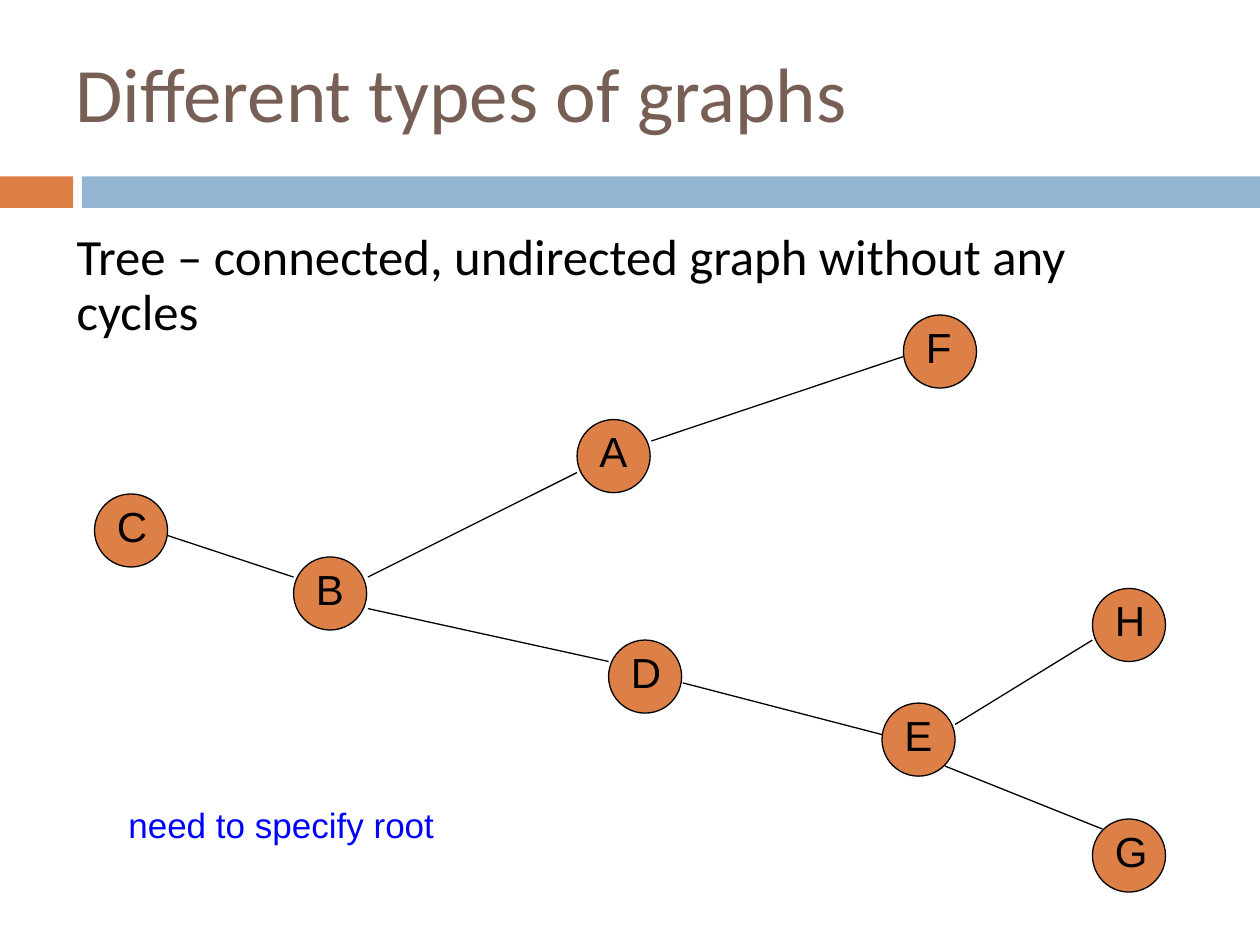
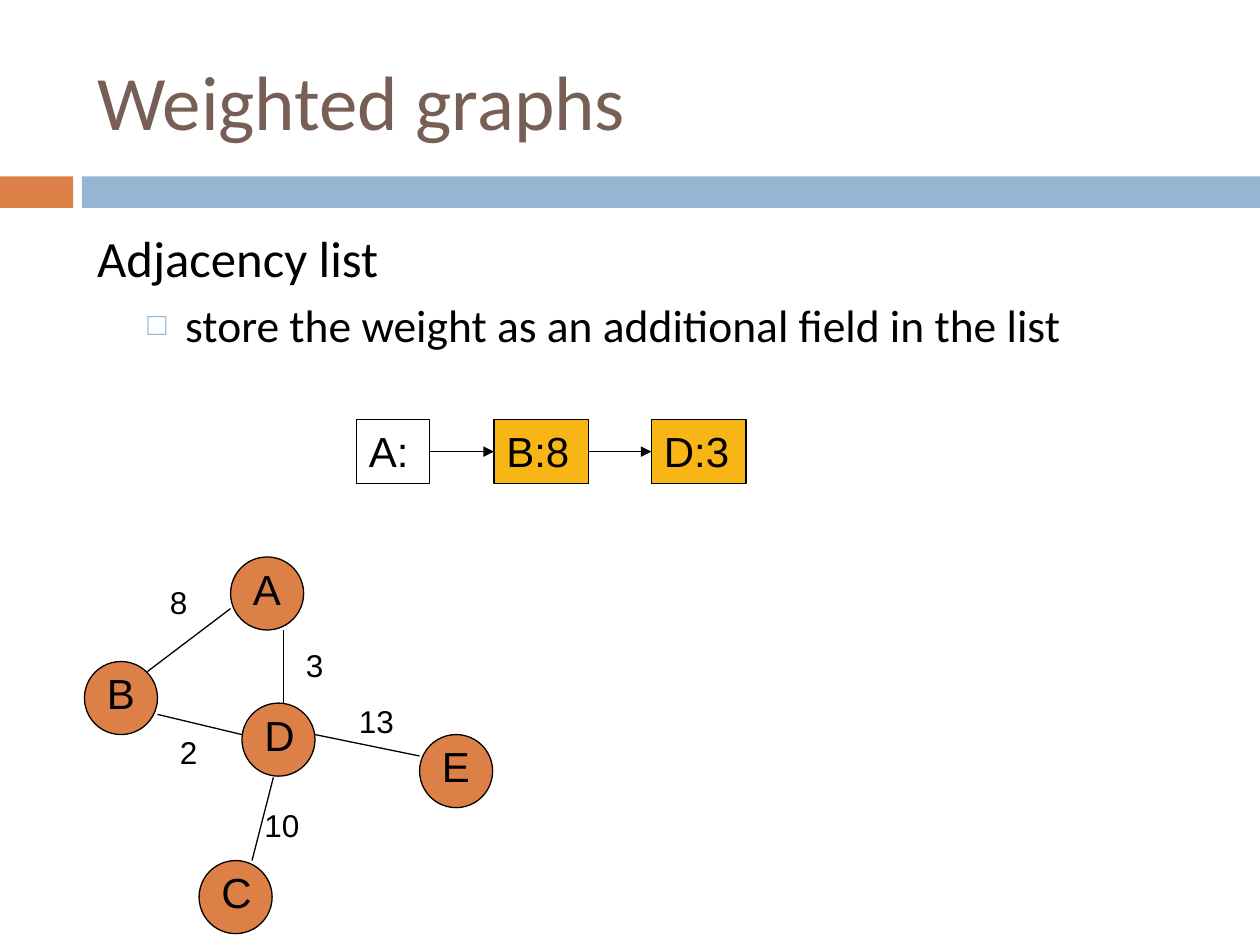
import pptx
import pptx.util
import pptx.dml.color
import pptx.enum.shapes
import pptx.enum.text
import pptx.oxml.ns
import lxml.etree

Inches, Pt = pptx.util.Inches, pptx.util.Pt
RGBColor = pptx.dml.color.RGBColor
SHAPE = pptx.enum.shapes.MSO_SHAPE
ANCHOR = pptx.enum.text.MSO_ANCHOR
ALIGN = pptx.enum.text.PP_ALIGN
qn = pptx.oxml.ns.qn

ORANGE = RGBColor(0xDD, 0x80, 0x47)
BLUE = RGBColor(0x94, 0xB6, 0xD2)
BROWN = RGBColor(0x77, 0x5F, 0x55)
GOLD = RGBColor(0xF7, 0xB6, 0x15)
LINK = RGBColor(0x00, 0x00, 0xFF)
BLACK = RGBColor(0x00, 0x00, 0x00)
NODE = 0.58


def write(shape, text, size=24, font="Arial", color=BLACK, anchor=ANCHOR.TOP,
          before=None, pitch=None, bullet=None, more=False):
    """Put one paragraph in a shape; without before, the gap is half a line."""
    frame = shape.text_frame
    frame.word_wrap = True
    frame.auto_size = pptx.enum.text.MSO_AUTO_SIZE.NONE
    frame.vertical_anchor = anchor
    para = frame.add_paragraph() if more else frame.paragraphs[0]
    para.alignment = ALIGN.LEFT
    run = para.add_run()
    run.text = text
    run.font.size, run.font.name = Pt(size), font
    run.font.color.rgb = color
    if pitch:
        para.line_spacing = pitch
    props = para._p.get_or_add_pPr()
    if before is None:
        gap = lxml.etree.SubElement(props, qn("a:spcBef"))
        lxml.etree.SubElement(gap, qn("a:spcPct"), val="50000")
    else:
        para.space_before = Pt(before)
    if bullet:
        para.level = 1
        props.set("marL", str(Inches(0.7)))
        props.set("indent", str(Inches(-0.3)))
        tint = lxml.etree.SubElement(props, qn("a:buClr"))
        lxml.etree.SubElement(tint, qn("a:srgbClr"), val=str(BLUE))
        lxml.etree.SubElement(props, qn("a:buSzPct"), val="70000")
        lxml.etree.SubElement(props, qn("a:buFont"), typeface="Arial")
        lxml.etree.SubElement(props, qn("a:buChar"), char=bullet)
    else:
        props.set("marL", "0")
        props.set("indent", "0")
        lxml.etree.SubElement(props, qn("a:buNone"))


def join(slide, x1, y1, x2, y2):
    """Draw a thin black line without a shadow."""
    line = slide.shapes.add_connector(
        pptx.enum.shapes.MSO_CONNECTOR.STRAIGHT, *map(Inches, (x1, y1, x2, y2)))
    line.line.color.rgb = BLACK
    line.line.width = Pt(0.75)
    lxml.etree.SubElement(line._element.spPr, qn("a:effectLst"))
    return line


deck = pptx.Presentation()
deck.slide_width, deck.slide_height = Inches(10), Inches(7.5)
tree = deck.slides.add_slide(deck.slide_layouts[5])
graph = deck.slides.add_slide(deck.slide_layouts[1])

# Bands shared through the master
for left, width, color in [(0, 0.58, ORANGE), (0.65, 9.35, BLUE)]:
    band = tree.shapes.add_shape(
        SHAPE.RECTANGLE, *map(Inches, (left, 1.4, width, 0.25)))
    band.shadow.inherit = False
    band.fill.solid()
    band.fill.fore_color.rgb = color
    band.line.fill.background()
    deck.slide_master.shapes._spTree.insert(2, band._element)

# Titles
for slide, text, box in [
    (tree, "Different types of graphs", (0.5, 0.13, 8.25, 1.2)),
    (graph, "Weighted graphs", (0.67, 0.25, 8.92, 1.08)),
]:
    title = slide.shapes.title
    title.left, title.top, title.width, title.height = map(Inches, box)
    write(title, text, size=44, font="Calibri", color=BROWN,
          anchor=ANCHOR.MIDDLE, before=0)

# Nodes of both graphs
spots = [
    (tree, {"A": (4.58, 3.33), "B": (2.33, 4.42), "C": (0.75, 3.92),
            "E": (7, 5.58), "D": (4.83, 5.08), "F": (7.17, 2.5),
            "G": (8.67, 6.5), "H": (8.67, 4.67)}),
    (graph, {"A": (1.83, 4.42), "B": (0.67, 5.25), "C": (1.58, 6.83),
             "E": (3.33, 5.83), "D": (1.92, 5.58)}),
]
for slide, nodes in spots:
    for name, (left, top) in nodes.items():
        group = slide.shapes.add_group_shape()
        disc = group.shapes.add_shape(
            SHAPE.OVAL, *map(Inches, (left, top, NODE, NODE)))
        disc.shadow.inherit = False
        disc.fill.solid()
        disc.fill.fore_color.rgb = ORANGE
        disc.line.color.rgb = BLACK
        disc.line.width = Pt(0.75)
        label = group.shapes.add_textbox(
            *map(Inches, (left + 0.08, top, 0.5, 0.5)))
        write(label, name)

# Edges of both graphs
edges = [
    (tree, [(2.92, 4.58, 4.58, 3.75), (2.92, 4.83, 4.83, 5.25),
            (7.17, 2.83, 5.17, 3.5), (5.42, 5.42, 7, 5.83),
            (7.58, 5.75, 8.67, 5.08), (7.5, 6.08, 8.75, 6.58),
            (1.33, 4.25, 2.33, 4.58)]),
    (graph, [(1.17, 5.33, 1.83, 4.83), (1.25, 5.67, 1.92, 5.83),
             (2.25, 5.58, 2.25, 5), (2.17, 6.17, 2, 6.83),
             (2.5, 5.83, 3.33, 6)]),
]
for slide, ends in edges:
    for end in ends:
        join(slide, *end)

# Tree: definition and note
note = tree.shapes.add_textbox(*map(Inches, (0.92, 6.33, 2.92, 0.43)))
write(note, "need to specify root", size=20, color=LINK)
lead = tree.shapes.add_textbox(*map(Inches, (0.51, 1.79, 9, 1.08)))
write(lead, "Tree – connected, undirected graph without any cycles",
      size=29, font="Calibri", before=7, pitch=0.9)

# Weighted graph: body text
body = graph.placeholders[1]
body.left, body.top, body.width, body.height = map(
    Inches, (0.67, 1.75, 8.92, 4.92))
write(body, "Adjacency list", size=29, font="Calibri", before=7)
write(body, "store the weight as an additional field in the list",
      size=26, font="Calibri", before=5.5, bullet="□", more=True)

# Edge weights
for text, left, top in [("8", 1.25, 4.58), ("2", 1.33, 5.77),
                        ("3", 2.33, 5.08), ("13", 2.75, 5.52),
                        ("10", 2, 6.35)]:
    weight = graph.shapes.add_textbox(*map(Inches, (left, top, 0.58, 0.4)))
    write(weight, text, size=18)

# Adjacency list of A, each cell linked to the one before
last = None
for text, left, width, color in [("A:", 2.83, 0.58, None),
                                 ("B:8", 3.92, 0.75, GOLD),
                                 ("D:3", 5.17, 0.75, GOLD)]:
    cell = graph.shapes.add_shape(
        SHAPE.RECTANGLE, *map(Inches, (left, 3.33, width, 0.51)))
    cell.shadow.inherit = False
    if color:
        cell.fill.solid()
        cell.fill.fore_color.rgb = color
    else:
        cell.fill.background()
    cell.line.color.rgb = BLACK
    cell.line.width = Pt(0.75)
    write(cell, text)
    if last:
        arrow = join(graph, left - 0.5, 3.58, left, 3.58)
        arrow.begin_connect(last, 3)
        arrow.end_connect(cell, 1)
        lxml.etree.SubElement(
            arrow.line._get_or_add_ln(), qn("a:tailEnd"), type="triangle")
    last = cell

deck.save("out.pptx")
